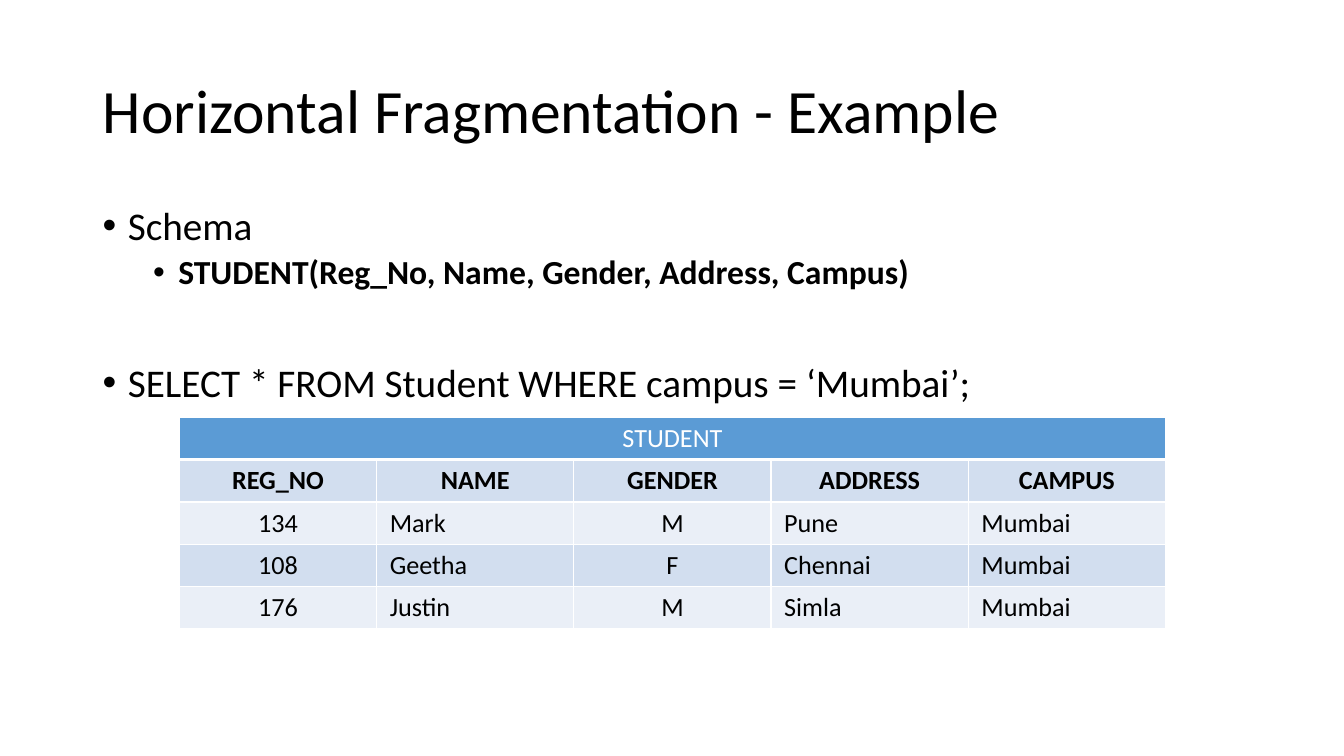
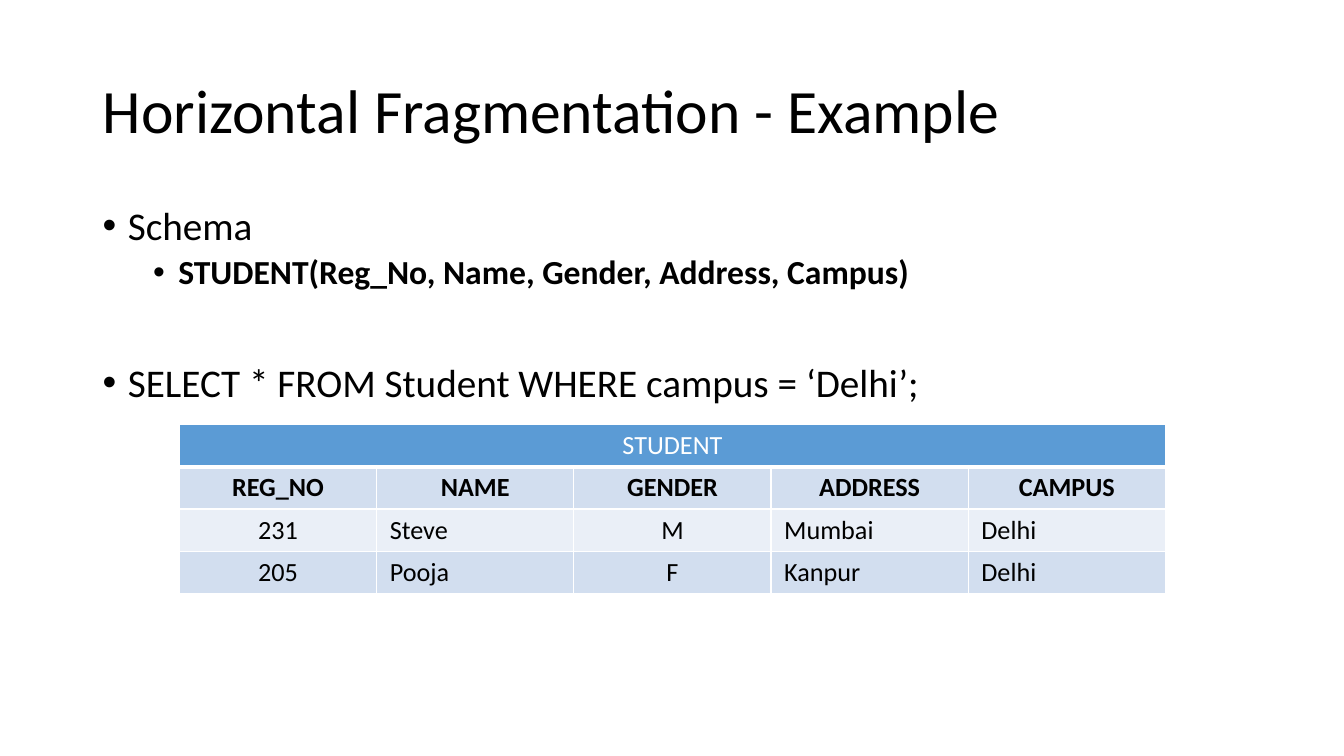
from dataclasses import dataclass

from lxml import etree
from pptx import Presentation
from pptx.dml.color import RGBColor
from pptx.enum.text import MSO_ANCHOR, MSO_AUTO_SIZE, PP_ALIGN
from pptx.oxml.ns import qn
from pptx.slide import Slide
from pptx.table import _Cell
from pptx.util import Inches, Pt

LEFT, CENTER = PP_ALIGN.LEFT, PP_ALIGN.CENTER
TOP, MIDDLE = MSO_ANCHOR.TOP, MSO_ANCHOR.MIDDLE
NO_FIT = MSO_AUTO_SIZE.NONE

FONT = "Calibri"
BLACK, WHITE = "000000", "FFFFFF"
BLUE, MID, PALE = "5B9BD5", "D2DEEF", "EAEFF7"

TITLE = "Horizontal Fragmentation - Example"
SCHEMA = "STUDENT(Reg_No, Name, Gender, Address, Campus)"
HEADS = ("REG_NO", "NAME", "GENDER", "ADDRESS", "CAMPUS")
ALIGNS = (CENTER, LEFT, CENTER, LEFT, LEFT)
MARGIN, WIDTH = 0.92, 11.5
TABLE_LEFT, COL, ROW = 1.78, 1.956, 0.42


@dataclass
class Bullet:
    text: str
    size: int = 28
    bold: bool = False
    level: int = 0
    before: int = 0


@dataclass
class Query:
    campus: str
    top: float
    people: tuple[tuple[str, str, str, str], ...]


QUERIES = (
    Query("Mumbai", 4.14, (
        ("134", "Mark", "M", "Pune"),
        ("108", "Geetha", "F", "Chennai"),
        ("176", "Justin", "M", "Simla"),
    )),
    Query("Delhi", 4.21, (
        ("231", "Steve", "M", "Mumbai"),
        ("205", "Pooja", "F", "Kanpur"),
    )),
)


def color(code: str) -> RGBColor:
    return RGBColor.from_string(code)


def style(para, size: float, code: str = BLACK, bold: bool = False) -> None:
    font = para.font
    font.name, font.size, font.bold = FONT, Pt(size), bold
    font.color.rgb = color(code)


def add_title(slide: Slide) -> None:
    title = slide.shapes.title
    title.left, title.top = Inches(MARGIN), Inches(0.4)
    title.width, title.height = Inches(WIDTH), Inches(1.45)
    frame = title.text_frame
    frame.text = TITLE
    frame.vertical_anchor = MIDDLE
    frame.auto_size = NO_FIT
    para = frame.paragraphs[0]
    para.alignment = LEFT
    para.line_spacing = 0.9
    style(para, 44)


def add_body(slide: Slide, items: tuple[Bullet, ...]) -> None:
    box = slide.shapes.add_textbox(
        Inches(MARGIN), Inches(2), Inches(WIDTH), Inches(4.76))
    frame = box.text_frame
    frame.word_wrap = True
    frame.vertical_anchor = TOP
    for i, item in enumerate(items):
        para = frame.add_paragraph() if i else frame.paragraphs[0]
        para.text = item.text
        para.level = item.level
        para.line_spacing = 0.9
        para.space_before = Pt(item.before)
        props = para._p.get_or_add_pPr()
        props.set("marL", str(Inches(0.25 + 0.5 * item.level)))
        props.set("indent", str(Inches(-0.25)))
        etree.SubElement(props, qn("a:buFont")).set("typeface", "Arial")
        etree.SubElement(props, qn("a:buChar")).set("char", "•")
        style(para, item.size, bold=item.bold)


def add_edges(cell: _Cell, bottom: int) -> None:
    props = cell._tc.get_or_add_tcPr()
    for side, width in (("L", 1), ("R", 1), ("T", 1), ("B", bottom)):
        line = etree.SubElement(props, qn(f"a:ln{side}"), w=str(Pt(width)))
        fill = etree.SubElement(line, qn("a:solidFill"))
        etree.SubElement(fill, qn("a:srgbClr"), val=WHITE)


def fill_cell(cell: _Cell, text: str, align: PP_ALIGN, row: int) -> None:
    head = row == 0
    add_edges(cell, 3 if head else 1)
    cell.fill.solid()
    cell.fill.fore_color.rgb = color(BLUE if head else MID if row % 2 else PALE)
    cell.margin_left = cell.margin_right = Inches(0.13)
    cell.margin_top = cell.margin_bottom = Inches(0.05)
    cell.text = text
    para = cell.text_frame.paragraphs[0]
    para.alignment = align
    style(para, 18.7, WHITE if head else BLACK, row == 1)


def add_grid(slide: Slide, query: Query) -> None:
    cols = len(HEADS)
    blank = ("",) * (cols - 1)
    rows = [("STUDENT", *blank), HEADS]
    rows += [(*person, query.campus) for person in query.people]
    table = slide.shapes.add_table(
        len(rows), cols, Inches(TABLE_LEFT), Inches(query.top),
        Inches(COL * cols), Inches(ROW * len(rows))).table
    table.first_row = table.horz_banding = False
    for r, texts in enumerate(rows):
        aligns = ALIGNS if r > 1 else (CENTER,) * cols
        for c, (text, align) in enumerate(zip(texts, aligns)):
            fill_cell(table.cell(r, c), text, align, r)
    table.cell(0, 0).merge(table.cell(0, cols - 1))


def main() -> None:
    deck = Presentation()
    deck.slide_width, deck.slide_height = Inches(13.33), Inches(7.5)
    for query in QUERIES:
        slide = deck.slides.add_slide(deck.slide_layouts[5])
        add_title(slide)
        add_body(slide, (
            Bullet("Schema"),
            Bullet(SCHEMA, size=24, bold=True, level=1, before=5),
            Bullet(f"SELECT * FROM Student WHERE campus = ‘{query.campus}’;",
                   before=51),
        ))
        add_grid(slide, query)
    deck.save("out.pptx")


if __name__ == "__main__":
    main()
